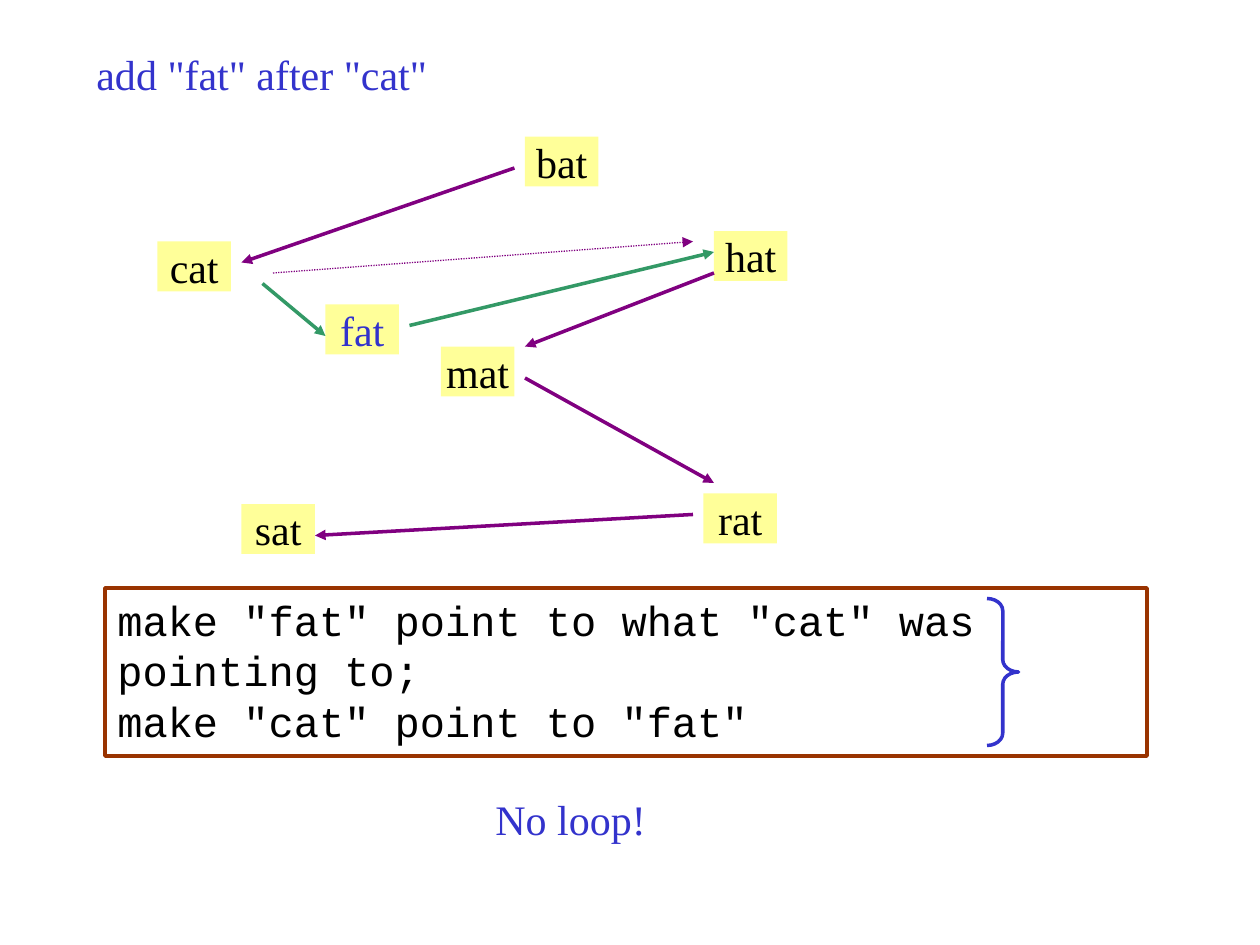
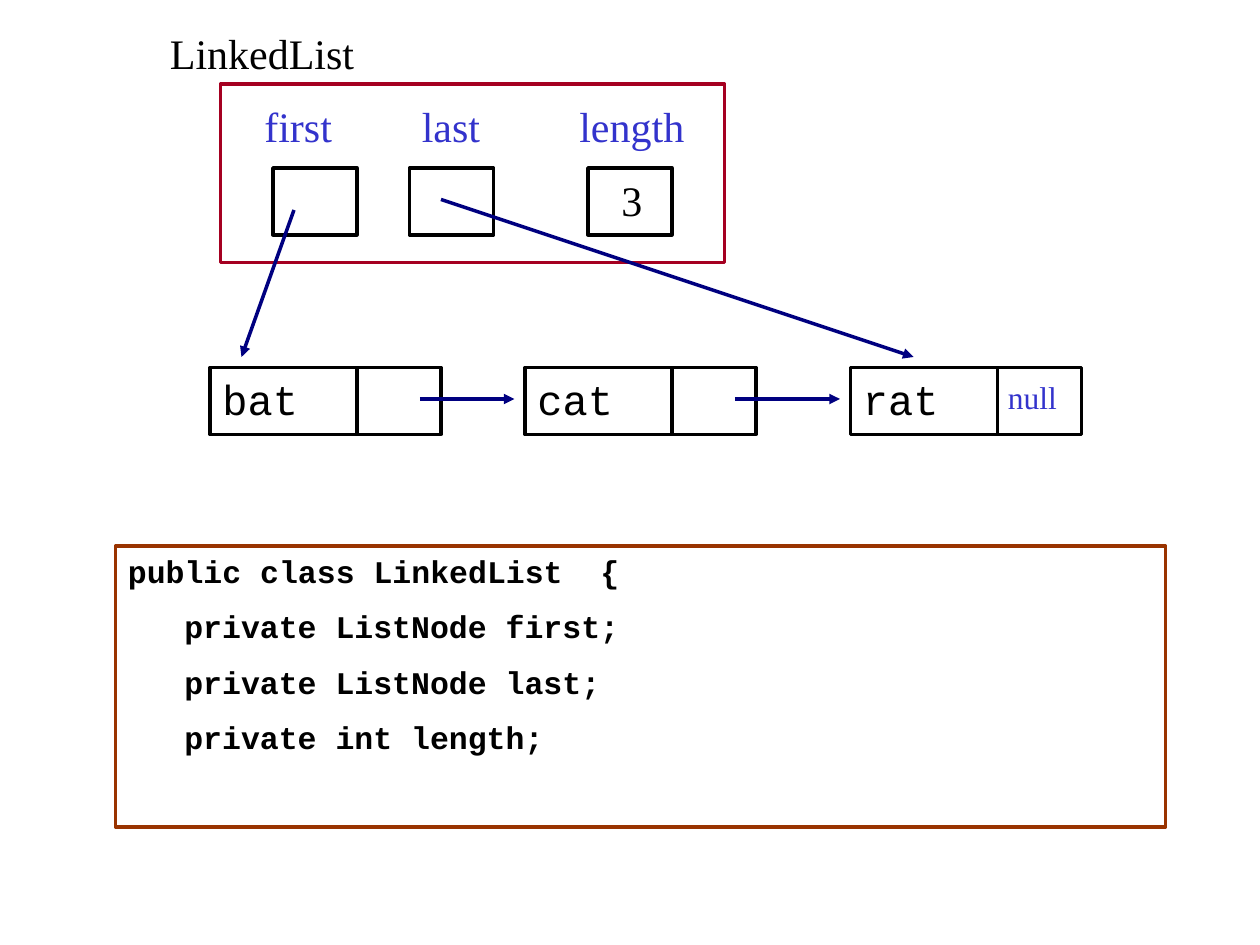
import dataclasses
import typing

import lxml.etree
import pptx
import pptx.dml.color
import pptx.enum.dml
import pptx.enum.shapes
import pptx.enum.text
import pptx.oxml.ns
import pptx.util

EMU_PER_PX = 9525
SERIF = "Times New Roman"
MONO = "Courier New"
COLOURS = {
    "text": "000000", "accent": "3333CC", "word": "FFFF99", "link": "800080",
    "new_link": "339966", "pointer": "000080", "code": "993300", "list": "A50021",
}
SHAPES = pptx.enum.shapes.MSO_SHAPE
ALIGN = pptx.enum.text.PP_ALIGN
ANCHOR = pptx.enum.text.MSO_ANCHOR


@dataclasses.dataclass(frozen=True)
class Area:
    """A rectangle in px."""
    left: int
    top: int
    width: int
    height: int


@dataclasses.dataclass(frozen=True)
class Word:
    """A list entry in the pointer sketch."""
    text: str
    left: int
    top: int
    colour: str = "text"


@dataclasses.dataclass(frozen=True)
class Arrow:
    """A pointer from one place to another, in px."""
    start: tuple[int, int]
    end: tuple[int, int]
    colour: str = "pointer"
    dotted: bool = False


@dataclasses.dataclass(frozen=True)
class Field:
    """A labelled field of the list object."""
    name: str
    label_left: int
    label_width: int
    cell_left: int


WORDS = [
    Word("cat", 120, 184), Word("mat", 336, 264), Word("sat", 184, 384),
    Word("bat", 400, 104), Word("rat", 536, 376), Word("hat", 544, 176),
    Word("fat", 248, 232, "accent"),
]
WORD_ARROWS = [
    Arrow((392, 128), (184, 200), "link"),
    Arrow((200, 216), (248, 256), "new_link"),
    Arrow((544, 208), (400, 264), "link"),
    Arrow((400, 288), (544, 368), "link"),
    Arrow((528, 392), (240, 408), "link"),
    Arrow((312, 248), (544, 192), "new_link"),
    Arrow((208, 208), (528, 184), "link", dotted=True),
]
FIELDS = [
    Field("first", 192, 88, 208),
    Field("last", 312, 88, 312),
    Field("length", 432, 104, 448),
]
NODES = {"bat": 160, "cat": 400, "rat": 648}
NODE_ARROWS = [
    Arrow((224, 160), (184, 272)),
    Arrow((320, 304), (392, 304)),
    Arrow((560, 304), (640, 304)),
    Arrow((336, 152), (696, 272)),
]
STEPS = ['make "fat" point to what "cat" was pointing to;',
         'make "cat" point to "fat"']
CLASS_LINES = ["public class LinkedList  {", "private ListNode first;",
               "private ListNode last;", "private int length;"]


def px(length: int) -> pptx.util.Emu:
    """Turn px into EMU."""
    return pptx.util.Emu(length * EMU_PER_PX)


def place(area: Area) -> tuple[pptx.util.Emu, ...]:
    """Give an area as EMU lengths."""
    return tuple(px(length) for length in dataclasses.astuple(area))


def colour(name: str) -> pptx.dml.color.RGBColor:
    """Look up a named colour."""
    return pptx.dml.color.RGBColor.from_string(COLOURS[name])


def write(shape: typing.Any, text: str, *, font: str = SERIF, size: int = 24,
          ink: str = "text", bold: bool = False, align: ALIGN = ALIGN.LEFT,
          anchor: ANCHOR = ANCHOR.TOP, inset: bool = True,
          space_before: int = 0, indent: int = 0) -> None:
    """Fill a shape with one paragraph per line; indent applies after the first."""
    frame = shape.text_frame
    frame.word_wrap = True
    frame.vertical_anchor = anchor
    if not inset:
        frame.margin_left = frame.margin_right = 0
        frame.margin_top = frame.margin_bottom = 0
    for index, line in enumerate(text.split("\n")):
        para = frame.add_paragraph() if index else frame.paragraphs[0]
        para.alignment = align
        if index:
            para.space_before = pptx.util.Pt(space_before)
            para._p.get_or_add_pPr().set("marL", str(px(indent)))
        span = para.add_run()
        span.text = line
        span.font.name = font
        span.font.size = pptx.util.Pt(size)
        span.font.bold = bold
        span.font.color.rgb = colour(ink)


def add_box(shapes: typing.Any, area: Area, *, fill: str | None = None,
            line: str | None = None, kind: SHAPES = SHAPES.RECTANGLE) -> typing.Any:
    """Draw a preset shape with an optional fill and outline."""
    box = shapes.add_shape(kind, *place(area))
    box.shadow.inherit = False
    if fill:
        box.fill.solid()
        box.fill.fore_color.rgb = colour(fill)
    else:
        box.fill.background()
    if line:
        box.line.color.rgb = colour(line)
        box.line.width = pptx.util.Pt(2)
    else:
        box.line.fill.background()
    return box


def add_label(page: typing.Any, text: str, area: Area, **style: typing.Any) -> None:
    """Place free text."""
    write(page.shapes.add_textbox(*place(area)), text, **style)


def add_arrow(page: typing.Any, arrow: Arrow) -> None:
    """Draw a straight line with an arrowhead at its end."""
    ends = [px(length) for length in arrow.start + arrow.end]
    link = page.shapes.add_connector(pptx.enum.shapes.MSO_CONNECTOR.STRAIGHT, *ends)
    link.line.color.rgb = colour(arrow.colour)
    link.line.width = pptx.util.Pt(0.75 if arrow.dotted else 2)
    if arrow.dotted:
        link.line.dash_style = pptx.enum.dml.MSO_LINE.ROUND_DOT
    head = lxml.etree.SubElement(link.line._get_or_add_ln(), pptx.oxml.ns.qn("a:tailEnd"))
    head.set("type", "triangle")
    lxml.etree.SubElement(link._element.spPr, pptx.oxml.ns.qn("a:effectLst"))


def add_code(page: typing.Any, lines: list[str], area: Area,
             **style: typing.Any) -> None:
    """Draw a framed block of code."""
    write(add_box(page.shapes, area, line="code"), "\n".join(lines), font=MONO, **style)


def add_node(page: typing.Any, text: str, left: int) -> None:
    """Draw a list node as a value cell grouped with a pointer cell."""
    group = page.shapes.add_group_shape()
    value = add_box(group.shapes, Area(left, 280, 112, 51), line="text")
    write(value, text, font=MONO)
    add_box(group.shapes, Area(left + 112, 280, 64, 51), line="text")


def draw_insertion(page: typing.Any) -> None:
    """Show how a word is inserted by changing pointers."""
    for word in WORDS:
        box = add_box(page.shapes, Area(word.left, word.top, 56, 38), fill="word")
        write(box, word.text, ink=word.colour, align=ALIGN.CENTER,
              anchor=ANCHOR.MIDDLE, inset=False)
    for arrow in WORD_ARROWS:
        add_arrow(page, arrow)
    add_label(page, 'add "fat" after "cat"', Area(64, 32, 600, 48), ink="accent")
    add_code(page, STEPS, Area(80, 448, 794, 128))
    brace = add_box(page.shapes, Area(752, 456, 24, 112), line="accent",
                    kind=SHAPES.RIGHT_BRACE)
    brace.adjustments[0] = 0.39
    add_label(page, "No loop!", Area(368, 600, 288, 48), ink="accent")


def draw_linked_list(page: typing.Any) -> None:
    """Show the list object, its nodes and its class."""
    add_box(page.shapes, Area(168, 64, 384, 136), line="list")
    for text, left in NODES.items():
        add_node(page, text, left)
    for field in FIELDS:
        add_box(page.shapes, Area(field.cell_left, 128, 64, 51), line="text")
        add_label(page, field.name, Area(field.label_left, 72, field.label_width, 48),
                  ink="accent")
    for arrow in NODE_ARROWS:
        add_arrow(page, arrow)
    add_label(page, "null", Area(768, 288, 56, 29), size=18, ink="accent", inset=False)
    add_label(page, "3", Area(464, 128, 40, 48))
    add_label(page, "LinkedList", Area(120, 16, 168, 48))
    add_code(page, CLASS_LINES, Area(88, 416, 800, 214), size=18, bold=True,
             space_before=10, indent=43)


def main() -> None:
    """Build and save the deck."""
    deck = pptx.Presentation()
    deck.slide_width, deck.slide_height = px(960), px(720)
    for draw in (draw_insertion, draw_linked_list):
        draw(deck.slides.add_slide(deck.slide_layouts[6]))
    deck.save("out.pptx")


if __name__ == "__main__":
    main()
